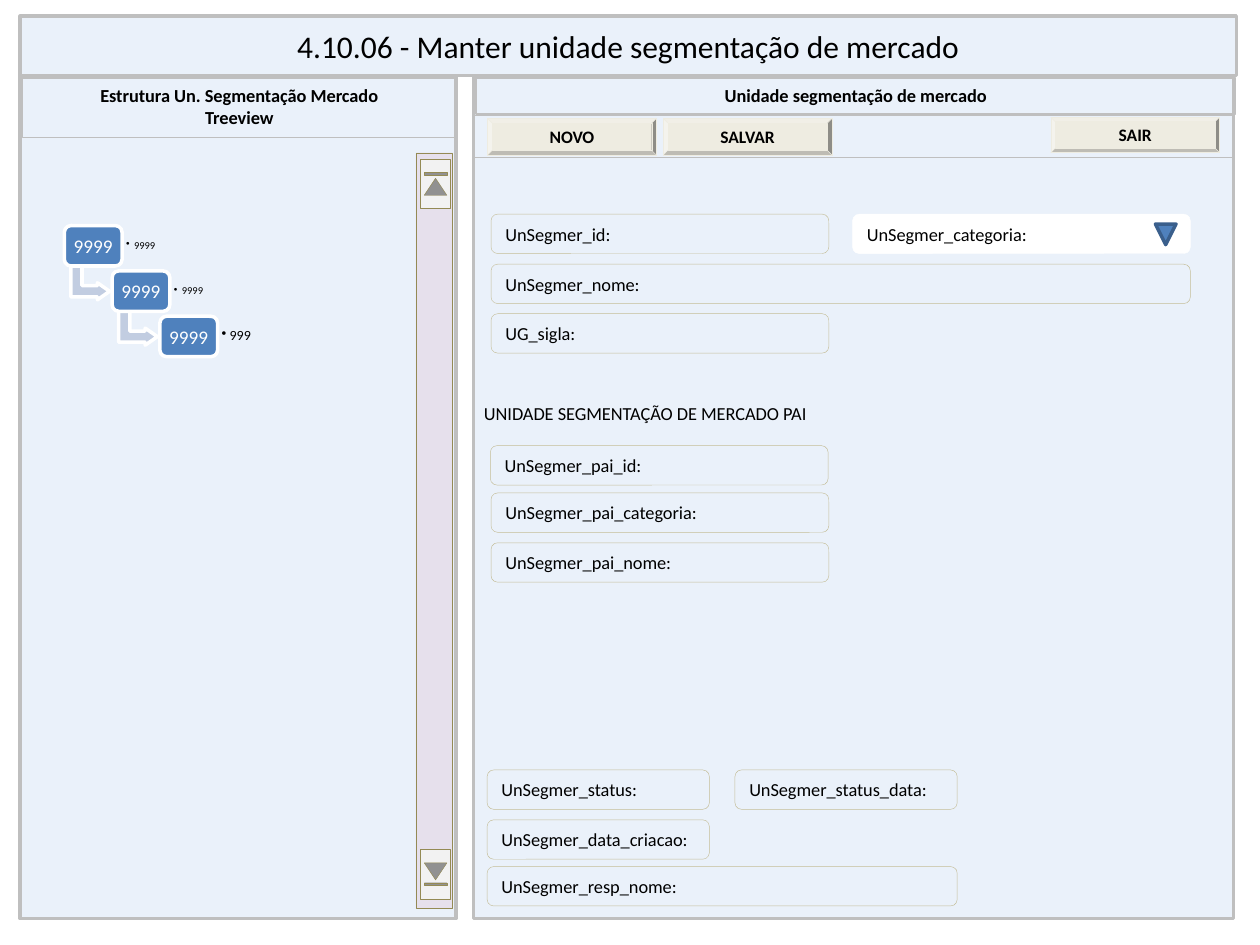
from dataclasses import dataclass
from pptx import Presentation
from pptx.dml.color import RGBColor
from pptx.enum.shapes import MSO_SHAPE
from pptx.enum.text import MSO_ANCHOR, PP_ALIGN
from pptx.oxml import parse_xml
from pptx.oxml.ns import nsdecls
from pptx.util import Pt


@dataclass(frozen=True)
class Theme:
    font: str = "Calibri"
    panel: str = "EAF1FA"
    border: str = "BFBFBF"
    field: str = "C4BD97"
    button: str = "EEECE1"
    blue: str = "4F81BD"
    dark_blue: str = "3A5F8C"
    arrow: str = "C2CDE1"
    scroll: str = "E6E0EC"
    scroll_button: str = "F2F2F2"
    olive: str = "948A54"
    white: str = "FFFFFF"
    black: str = "000000"
    title: float = 18
    node: float = 11
    body: float = 10.5
    action: float = 10
    thick: float = 2
    thin: float = 0.75
    hair: float = 0.25


class Screen:
    def __init__(self, slide, theme):
        self.s, self.t = slide, theme

    def paint(self, sp, fill, line, width):
        if fill:
            sp.fill.solid()
            sp.fill.fore_color.rgb = RGBColor.from_string(fill)
        else:
            sp.fill.background()
        if line:
            sp.line.color.rgb = RGBColor.from_string(line)
            sp.line.width = Pt(width)
        else:
            sp.line.fill.background()

    def text(self, sp, lines, size, color=None, bold=False,
             align=PP_ALIGN.LEFT, anchor=MSO_ANCHOR.MIDDLE, inset=None):
        tf = sp.text_frame
        tf.word_wrap = True
        tf.vertical_anchor = anchor
        if inset is not None:
            tf.margin_left = tf.margin_right = Pt(inset)
            tf.margin_top = tf.margin_bottom = Pt(inset)
        for i, line in enumerate(lines.split("\n")):
            p = tf.add_paragraph() if i else tf.paragraphs[0]
            p.alignment = align
            r = p.add_run()
            r.text = line
            r.font.name = self.t.font
            r.font.size = Pt(size)
            r.font.bold = bold
            r.font.color.rgb = RGBColor.from_string(color or self.t.black)

    def shape(self, kind, box, fill=None, line=None, width=0.25, rotation=0):
        sp = self.s.shapes.add_shape(kind, *map(Pt, box))
        sp.shadow.inherit = False
        sp.rotation = rotation
        self.paint(sp, fill, line, width)
        return sp

    def title(self, text, box):
        sp = self.s.shapes.title
        sp.left, sp.top, sp.width, sp.height = map(Pt, box)
        sp._element.spPr.append(parse_xml(
            f'<a:prstGeom {nsdecls("a")} prst="roundRect"><a:avLst/></a:prstGeom>'))
        self.paint(sp, self.t.panel, self.t.border, self.t.thick)
        self.text(sp, text, self.t.title, align=PP_ALIGN.CENTER)
        self.s.shapes._spTree.append(sp._element)

    def panel(self, box):
        self.shape(MSO_SHAPE.RECTANGLE, box, self.t.panel, self.t.border, self.t.thick)

    def strip(self, box, text=None):
        sp = self.shape(MSO_SHAPE.RECTANGLE, box, None, self.t.border, self.t.thin)
        if text:
            self.text(sp, text, self.t.body, bold=True,
                      align=PP_ALIGN.CENTER, anchor=MSO_ANCHOR.TOP)

    def field(self, text, left, top, width, fill=None, line=None):
        sp = self.shape(MSO_SHAPE.ROUNDED_RECTANGLE, (left, top, width, 22.5),
                        fill, line or self.t.field, self.t.hair)
        self.text(sp, text, self.t.body)

    def caption(self, text, box):
        sp = self.s.shapes.add_textbox(*map(Pt, box))
        self.text(sp, text, self.t.body)

    def button(self, text, left, top, height):
        sp = self.shape(MSO_SHAPE.BEVEL, (left, top, 96.5, height),
                        self.t.button, self.t.button, self.t.hair)
        self.text(sp, text, self.t.action, bold=True, align=PP_ALIGN.CENTER)

    def branch(self, left, top):
        sp = self.shape(MSO_SHAPE.BENT_UP_ARROW, (left, top, 19.5, 22.2),
                        self.t.arrow, self.t.white, self.t.thick, 90)
        for i, value in enumerate((0.328, 0.25, 0.358)):
            sp.adjustments[i] = value

    def node(self, code, detail, size, left, top):
        sp = self.shape(MSO_SHAPE.ROUNDED_RECTANGLE, (left, top, 33, 23.1),
                        self.t.blue, self.t.white, self.t.thick)
        self.text(sp, code, self.t.node, self.t.white, align=PP_ALIGN.CENTER, inset=3)
        sp = self.s.shapes.add_textbox(Pt(left + 33), Pt(top + 2.2), Pt(24), Pt(18.7))
        self.text(sp, detail, size, inset=2.3)
        p = sp.text_frame.paragraphs[0]
        p.level = 1
        p.line_spacing = 0.9
        pPr = p._p.get_or_add_pPr()
        pPr.set("marL", str(Pt(4.5)))
        pPr.set("indent", str(-Pt(4.5)))
        pPr.append(parse_xml(f'<a:buChar {nsdecls("a")} char="•"/>'))

    def scrollbar(self, left, top, width, height):
        self.shape(MSO_SHAPE.RECTANGLE, (left, top, width, height),
                   self.t.scroll, self.t.olive, self.t.hair)
        for y, rotation in ((96.5, 270), (491, 90)):
            self.shape(MSO_SHAPE.ACTION_BUTTON_END, (234.8, y, 28.2, 17.2),
                       self.t.scroll_button, self.t.olive, self.t.hair, rotation)


theme = Theme()
prs = Presentation()
prs.slide_width, prs.slide_height = Pt(720), Pt(540)
screen = Screen(prs.slides.add_slide(prs.slide_layouts[5]), theme)

screen.panel((270.5, 43.5, 434.5, 481.5))
screen.strip((270.5, 66, 434.5, 24))
screen.panel((11.5, 43.5, 249, 481.5))
screen.strip((13, 44.5, 247.5, 34), "Estrutura Un. Segmentação Mercado\nTreeview")
screen.title("4.10.06 - Manter unidade segmentação de mercado", (11.5, 9.2, 695, 34))
screen.strip((272, 44.5, 434, 20.6), "Unidade segmentação de mercado")

for i, (detail, size) in enumerate((("9999", 6), ("9999", 6), ("999", 8))):
    x, y = 36.8 + 27.3 * i, 128.9 + 25.9 * i
    if i < 2:
        screen.branch(x + 5, y + 21.6)
    screen.node("9999", detail, size, x, y)

for text, left, top, width in (
    ("UnSegmer_id:", 280.6, 122.4, 193),
    ("UnSegmer_nome:", 280.6, 151, 399.6),
    ("UG_sigla:", 280.6, 179.3, 193),
    ("UnSegmer_pai_id:", 280.2, 254.7, 193),
    ("UnSegmer_pai_categoria:", 280.6, 281.7, 193),
    ("UnSegmer_pai_nome:", 280.6, 310.2, 193),
    ("UnSegmer_status:", 278.4, 440, 127),
    ("UnSegmer_status_data:", 420, 440, 127),
    ("UnSegmer_data_criacao:", 278.4, 468.5, 127),
    ("UnSegmer_resp_nome:", 278.4, 495.2, 268.6),
):
    screen.field(text, left, top, width)
screen.field("UnSegmer_categoria:", 487.2, 122.4, 193, theme.white, theme.white)
screen.shape(MSO_SHAPE.FLOWCHART_EXTRACT, (660.2, 128, 11.8, 11.8),
             theme.blue, theme.dark_blue, theme.thick, 180)
screen.caption("UNIDADE SEGMENTAÇÃO DE MERCADO PAI", (269.5, 225, 244, 22.5))

for text, left, top, height in (
    ("SALVAR", 379, 67.7, 20.9),
    ("NOVO", 278.6, 67.7, 20.9),
    ("SAIR", 600.5, 67, 20.2),
):
    screen.button(text, left, top, height)
screen.scrollbar(237.6, 87.3, 21, 432)

prs.save("out.pptx")
